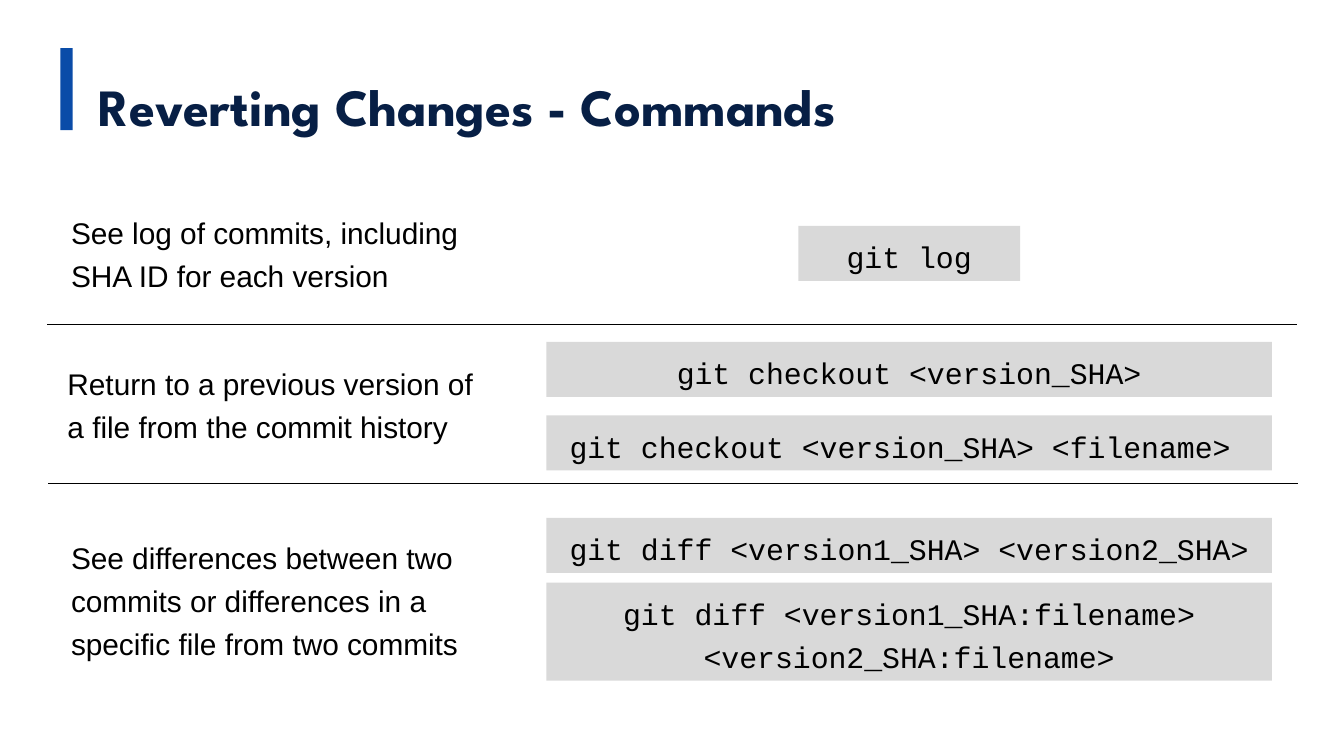
from dataclasses import dataclass

from lxml.etree import SubElement
from pptx import Presentation
from pptx.dml.color import RGBColor
from pptx.enum.shapes import MSO_CONNECTOR, MSO_SHAPE
from pptx.enum.text import MSO_ANCHOR, MSO_AUTO_SIZE, PP_ALIGN
from pptx.oxml.ns import qn
from pptx.shapes.autoshape import Shape
from pptx.slide import Slide
from pptx.util import Inches, Length, Pt


@dataclass(frozen=True)
class TextStyle:
    font: str
    size: int
    color: RGBColor
    spacing: float
    bold: bool = False
    align: PP_ALIGN = PP_ALIGN.LEFT
    anchor: MSO_ANCHOR = MSO_ANCHOR.MIDDLE


BLACK = RGBColor(0x00, 0x00, 0x00)


@dataclass(frozen=True)
class Theme:
    accent: RGBColor = RGBColor(0x0A, 0x4C, 0xA8)
    panel: RGBColor = RGBColor(0xD9, 0xD9, 0xD9)
    rule: RGBColor = BLACK
    rule_width: float = 0.5
    title: TextStyle = TextStyle(
        "League Spartan", 28, RGBColor(0x07, 0x1F, 0x45), 1.7,
        bold=True, anchor=MSO_ANCHOR.TOP,
    )
    description: TextStyle = TextStyle("Arial", 16, BLACK, 1.2)
    command: TextStyle = TextStyle(
        "Courier New", 16, BLACK, 1.2, align=PP_ALIGN.CENTER
    )


@dataclass(frozen=True)
class Area:
    column: float
    row: float
    columns: float
    rows: float

    def lengths(self) -> tuple[Length, ...]:
        return tuple(map(grid, (self.column, self.row, self.columns, self.rows)))


@dataclass(frozen=True)
class Block:
    text: str
    area: Area


@dataclass(frozen=True)
class Topic:
    description: Block
    commands: tuple[Block, ...]


THEME = Theme()
GRID_STEP = 0.1
RULE_COLUMNS = 93
ONE_LINE = 4.1
TWO_LINES = 7.2
COMMAND_COLUMN = 40.65
COMMAND_COLUMNS = 54

TITLE = Block("Reverting Changes - Commands", Area(6.35, 1.8, 74, 7.9))
TITLE_BAR = Area(4.5, 3.58, 0.9, 6.1)
RULE_STARTS = ((3.5, 24.14), (3.6, 36))

TOPICS = (
    Topic(
        Block("See log of commits, including SHA ID for each version",
              Area(4.3, 15.05, 32.8, TWO_LINES)),
        (Block("git log", Area(59.4, 16.8, 16.5, ONE_LINE)),),
    ),
    Topic(
        Block("Return to a previous version of a file from the commit history",
              Area(4.04, 26.25, 32.6, TWO_LINES)),
        (
            Block("git checkout <version_SHA>",
                  Area(COMMAND_COLUMN, 25.44, COMMAND_COLUMNS, ONE_LINE)),
            Block("git checkout <version_SHA> <filename> ",
                  Area(COMMAND_COLUMN, 30.9, COMMAND_COLUMNS, ONE_LINE)),
        ),
    ),
    Topic(
        Block("See differences between two commits or differences in a "
              "specific file from two commits",
              Area(4.3, 39.25, 32.8, 10.4)),
        (
            Block("git diff <version1_SHA> <version2_SHA>",
                  Area(COMMAND_COLUMN, 38.53, COMMAND_COLUMNS, ONE_LINE)),
            Block("git diff <version1_SHA:filename> <version2_SHA:filename>",
                  Area(COMMAND_COLUMN, 43.35, COMMAND_COLUMNS, 7.3)),
        ),
    ),
)


def grid(steps: float) -> Length:
    return Inches(steps * GRID_STEP)


def write_text(shape: Shape, text: str, style: TextStyle) -> None:
    text_frame = shape.text_frame
    text_frame.text = text
    text_frame.word_wrap = True
    text_frame.auto_size = MSO_AUTO_SIZE.SHAPE_TO_FIT_TEXT
    text_frame.vertical_anchor = style.anchor
    paragraph = text_frame.paragraphs[0]
    paragraph.alignment = style.align
    paragraph.line_spacing = style.spacing
    font = paragraph.runs[0].font
    font.name = style.font
    font.size = Pt(style.size)
    font.bold = style.bold
    font.color.rgb = style.color


def add_rectangle(slide: Slide, area: Area, color: RGBColor) -> Shape:
    rectangle = slide.shapes.add_shape(MSO_SHAPE.RECTANGLE, *area.lengths())
    rectangle.shadow.inherit = False
    rectangle.fill.solid()
    rectangle.fill.fore_color.rgb = color
    rectangle.line.fill.background()
    return rectangle


def add_text(slide: Slide, block: Block, style: TextStyle) -> None:
    write_text(slide.shapes.add_textbox(*block.area.lengths()), block.text, style)


def add_command(slide: Slide, block: Block) -> None:
    panel = add_rectangle(slide, block.area, THEME.panel)
    write_text(panel, block.text, THEME.command)


def add_rule(slide: Slide, column: float, row: float) -> None:
    rule = slide.shapes.add_connector(
        MSO_CONNECTOR.STRAIGHT,
        grid(column), grid(row), grid(column + RULE_COLUMNS), grid(row),
    )
    rule.line.color.rgb = THEME.rule
    rule.line.width = Pt(THEME.rule_width)
    SubElement(rule.element.spPr, qn("a:effectLst"))


def main() -> None:
    presentation = Presentation()
    presentation.slide_width = Inches(10)
    presentation.slide_height = presentation.slide_width * 9 // 16
    slide = presentation.slides.add_slide(presentation.slide_layouts[6])

    add_rectangle(slide, TITLE_BAR, THEME.accent)
    add_text(slide, TITLE, THEME.title)
    for column, row in RULE_STARTS:
        add_rule(slide, column, row)
    for topic in TOPICS:
        add_text(slide, topic.description, THEME.description)
        for command in topic.commands:
            add_command(slide, command)

    presentation.save("out.pptx")


if __name__ == "__main__":
    main()
